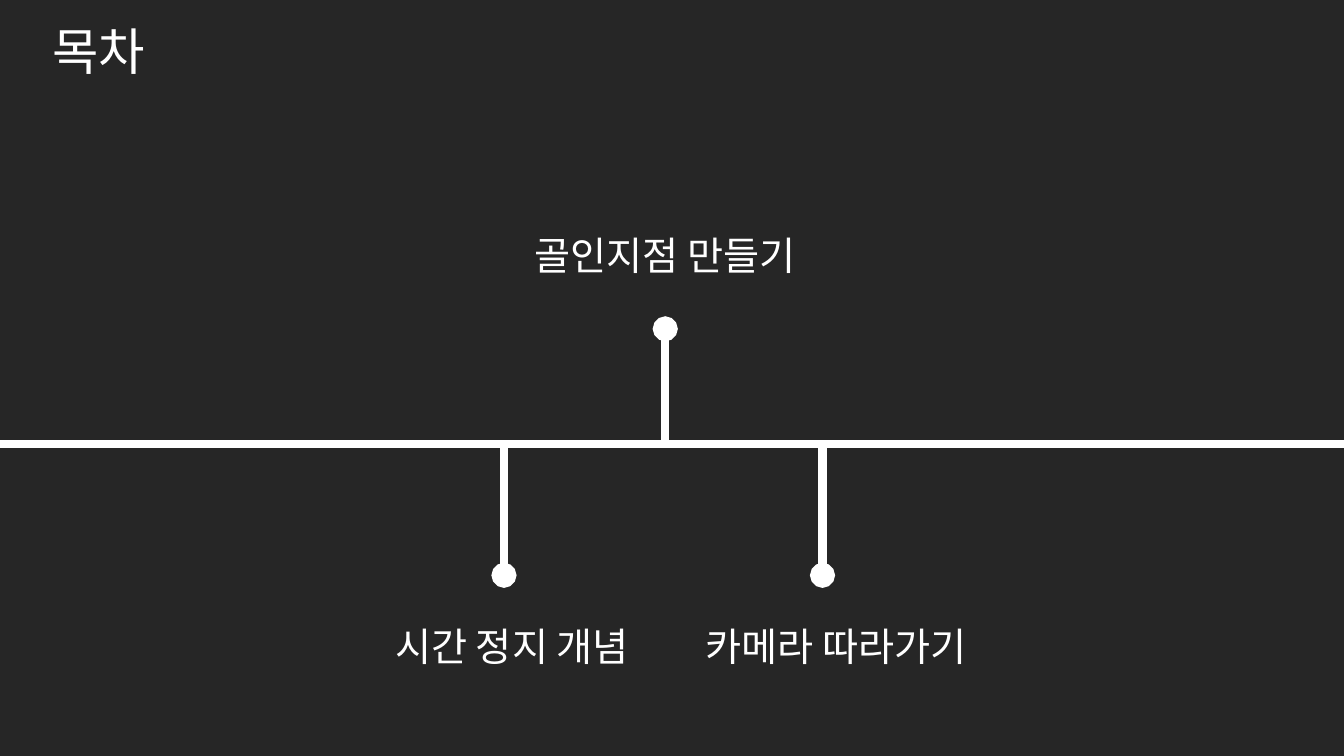
from lxml import etree
from pptx import Presentation, util as u
from pptx.dml.color import RGBColor
from pptx.enum import shapes, text as t
from pptx.oxml import ns

WIDTH, HEIGHT = u.Inches(13.33), u.Inches(7.5)
FONT = "Noto Sans CJK KR"
WHITE, CHARCOAL = "FFFFFF", "262626"
AXIS = 58.7
LABEL_HEIGHT = 7.6
TOPICS = [
    ("시간 정지 개념", 37.5, 76.1, 38.1, 81.6, 22.9),
    ("골인지점 만들기", 49.5, 43.5, 49.5, 29.9, 25),
    ("카메라 따라가기", 61.2, 76.1, 62.2, 81.6, 22.3),
]


def column(percent):
    return int(WIDTH * percent / 100)


def row(percent):
    return int(HEIGHT * percent / 100)


def color(value):
    return RGBColor.from_string(value)


def add_child(parent, tag, **attributes):
    return etree.SubElement(parent, ns.qn(tag), **attributes)


def add_text(slide, words, center, top, width, height, size=28, fill=WHITE):
    box = slide.shapes.add_textbox(
        column(center - width / 2), row(top), column(width), row(height))
    frame = box.text_frame
    frame.word_wrap = True
    frame.auto_size = t.MSO_AUTO_SIZE.SHAPE_TO_FIT_TEXT
    paragraph = frame.paragraphs[0]
    paragraph.alignment = t.PP_ALIGN.CENTER
    run = paragraph.add_run()
    run.text = words
    run.font.size = u.Pt(size)
    run.font.color.rgb = color(fill)
    run.font.name = FONT
    add_child(run.font._element, "a:ea", typeface=FONT)


def add_line(slide, start, end, tail=None):
    line = slide.shapes.add_connector(
        shapes.MSO_CONNECTOR.STRAIGHT,
        column(start[0]), row(start[1]), column(end[0]), row(end[1]))
    line.line.color.rgb = color(WHITE)
    line.line.width = u.Pt(6)
    if tail:
        add_child(line.line._get_or_add_ln(), "a:tailEnd", type=tail)
    add_child(line._element.spPr, "a:effectLst")


def main():
    presentation = Presentation()
    presentation.slide_width, presentation.slide_height = WIDTH, HEIGHT
    slide = presentation.slides.add_slide(presentation.slide_layouts[6])
    background = slide.background.fill
    background.solid()
    background.fore_color.rgb = color(CHARCOAL)

    add_text(slide, "목차", 7.35, 2, 30.5, 9.5, size=36)
    add_line(slide, (0, AXIS), (100, AXIS))
    for words, stem, tip, center, top, width in TOPICS:
        add_line(slide, (stem, AXIS), (stem, tip), tail="oval")
        add_text(slide, words, center, top, width, LABEL_HEIGHT)
    presentation.save("out.pptx")


if __name__ == "__main__":
    main()
